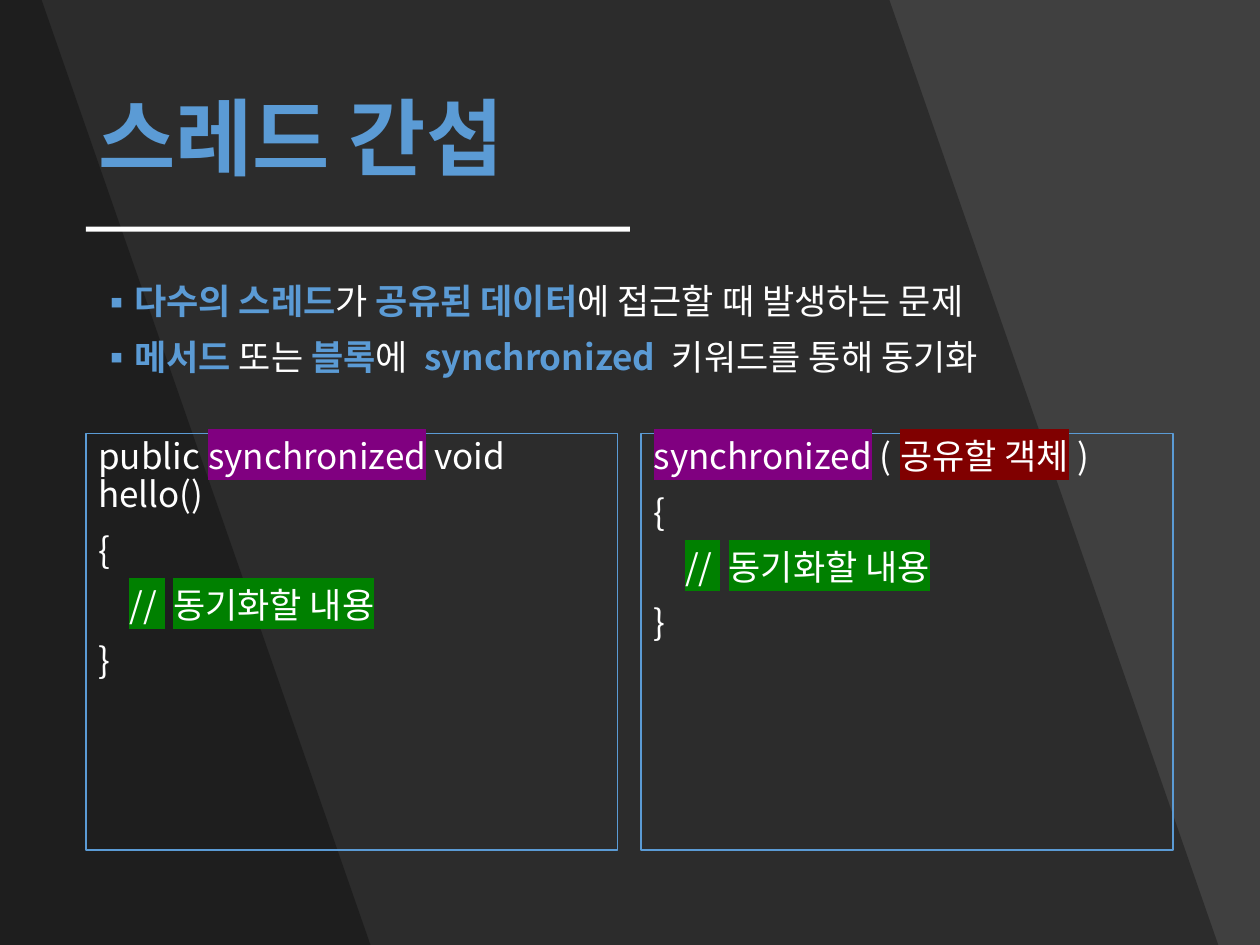
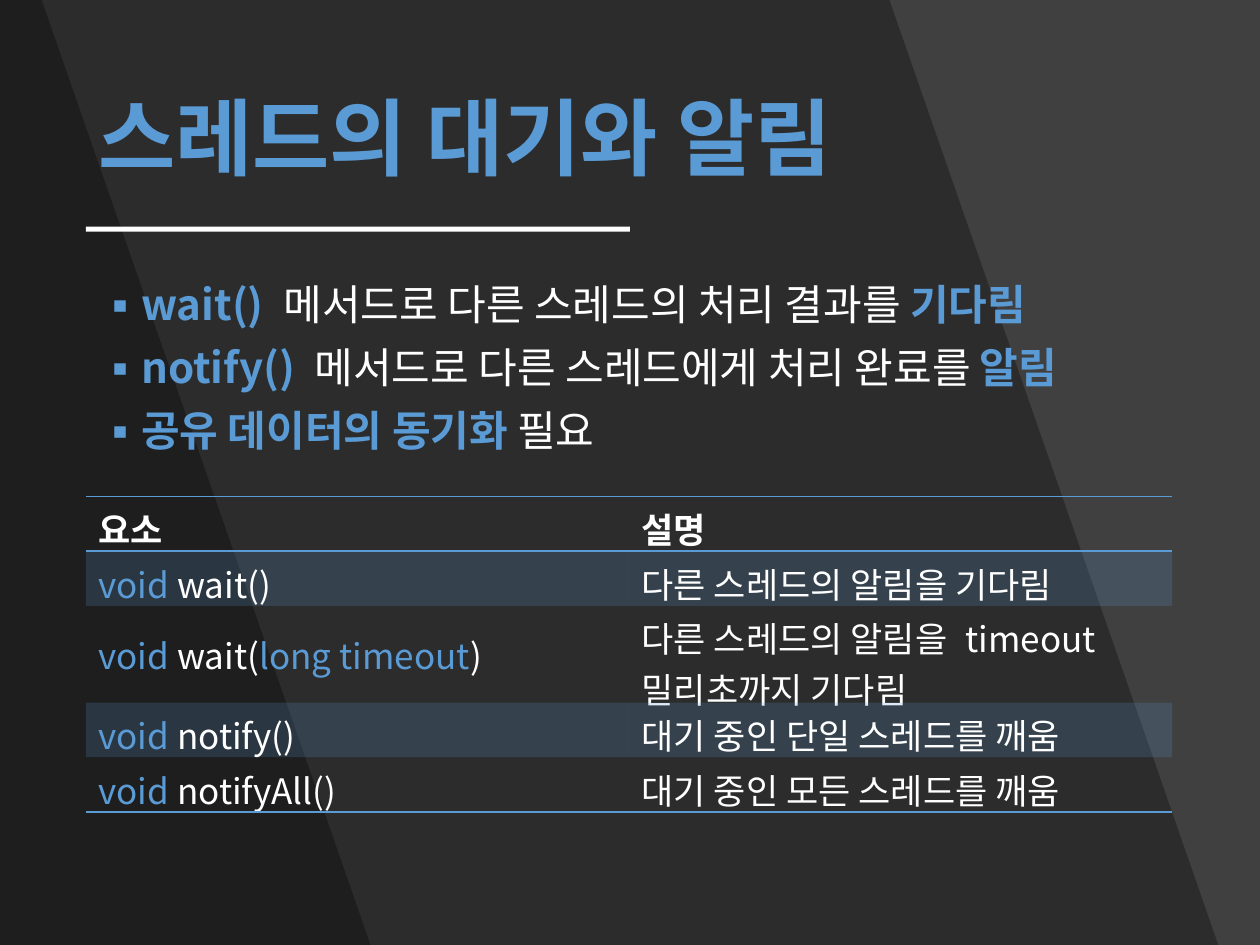
import pptx
import pptx.util
import pptx.dml.color
import pptx.enum.shapes
import pptx.enum.text
import pptx.oxml
import pptx.oxml.ns
from lxml import etree

Cm, Pt = pptx.util.Cm, pptx.util.Pt
RGB = pptx.dml.color.RGBColor
RECT = pptx.enum.shapes.MSO_SHAPE.RECTANGLE
ANCHOR = pptx.enum.text.MSO_ANCHOR
qn = pptx.oxml.ns.qn

# Shared look
FONT = "Noto Sans CJK KR"
BACK = RGB(0x40, 0x40, 0x40)
BLACK = RGB(0, 0, 0)
WHITE = RGB(0xFF, 0xFF, 0xFF)
BLUE = RGB(0x5B, 0x9B, 0xD5)
PURPLE = RGB(0x80, 0, 0x80)
GREEN = RGB(0, 0x80, 0)
MAROON = RGB(0x80, 0, 0)
WIDE, HIGH = 25.4, 19.05
LEFT, FULL = 1.73, 21.9
INDENT = 0.63
PLAIN_TABLE = "{2D5ABB26-0587-4C30-8999-92F81FD0307C}"


# Kinds of run: text, colour, bold, highlight
def key(text):
    return text, BLUE, True, None


def word(text):
    return text, BLUE, False, None


def mark(text, back):
    return text, WHITE, False, back


def head(text):
    return text, WHITE, True, None


def paint(parent, tag, color):
    """Add a colour-holding child such as a:highlight or a:solidFill."""
    child = etree.SubElement(parent, qn(tag))
    etree.SubElement(child, qn("a:srgbClr"), val=str(color))


def fade(part, percent):
    """Make the fill of a shape or cell element see-through."""
    color = next(part.iter(qn("a:srgbClr")))
    etree.SubElement(color, qn("a:alpha"), val=str(percent * 1000))


def add_runs(para, parts, size):
    for part in parts:
        text, color, bold, back = mark(part, None) if isinstance(part, str) else part
        run = para.add_run()
        run.text = text
        run.font.size = Pt(size)
        run.font.bold = bold
        run.font.color.rgb = color
        props = run.font.fill._xPr
        if back is not None:
            paint(props, "a:highlight", back)
        run.font.name = FONT
        etree.SubElement(props, qn("a:ea"), typeface=FONT)


def set_indent(para, left, first=0):
    props = para._p.get_or_add_pPr()
    props.set("marL", str(Cm(left)))
    props.set("indent", str(Cm(first)))
    return props


def add_lines(frame, lines, size, gap=10):
    """Write one paragraph for each list of runs."""
    frame.word_wrap = True
    paras = []
    for i, parts in enumerate(lines):
        para = frame.add_paragraph() if i else frame.paragraphs[0]
        para.alignment = pptx.enum.text.PP_ALIGN.LEFT
        para.line_spacing = 0.9
        para.space_before = Pt(gap)
        add_runs(para, parts, size)
        paras.append(para)
    return paras


def add_band(slide, top, foot):
    """Dark slanted band from the left edge."""
    build = slide.shapes.build_freeform(0, 0)
    build.add_line_segments(
        [(Cm(top), 0), (Cm(foot), Cm(HIGH)), (0, Cm(HIGH))], close=True)
    band = build.convert_to_shape()
    band.shadow.inherit = False
    band.fill.solid()
    band.fill.fore_color.rgb = BLACK
    band.line.fill.background()
    fade(band.element, 30)


def add_title(slide, text):
    box = slide.shapes.add_textbox(Cm(LEFT), Cm(1.02), Cm(FULL), Cm(3.68))
    box.text_frame.vertical_anchor = ANCHOR.MIDDLE
    add_lines(box.text_frame, [[key(text)]], 48, 0)
    rule = slide.shapes.add_shape(RECT, Cm(LEFT), Cm(4.57), Cm(10.97), Cm(0.1))
    rule.shadow.inherit = False
    rule.fill.solid()
    rule.fill.fore_color.rgb = WHITE
    rule.line.fill.background()


def add_list(slide, lines, size):
    box = slide.shapes.add_textbox(Cm(1.75), Cm(5.61), Cm(FULL), Cm(11.53))
    for para in add_lines(box.text_frame, lines, size):
        props = set_indent(para, INDENT, -INDENT)
        paint(props, "a:buClr", BLUE)
        etree.SubElement(props, qn("a:buFont"), typeface=FONT)
        etree.SubElement(props, qn("a:buChar"), char="▪")


def add_code(slide, left, first):
    """Outlined box: an opening line, then a block with a comment."""
    box = slide.shapes.add_shape(RECT, Cm(left), Cm(8.74), Cm(10.72), Cm(8.4))
    box.shadow.inherit = False
    box.fill.background()
    box.line.color.rgb = BLUE
    box.line.width = Pt(1)
    box.text_frame.vertical_anchor = ANCHOR.TOP
    note = [mark("// 동기화할 내용", GREEN)]
    paras = add_lines(box.text_frame, [first, ["{"], note, ["}"]], 20)
    set_indent(paras[2], INDENT)


def add_edge(cell, tags):
    """Blue lines on the named sides of a cell."""
    props = cell._tc.get_or_add_tcPr()
    for i, tag in enumerate(tags):
        line = etree.Element(qn(tag), w=str(Pt(1)))
        paint(line, "a:solidFill", BLUE)
        props.insert(i, line)


def add_grid(slide, rows):
    frame = slide.shapes.add_table(
        len(rows), 2, Cm(LEFT), Cm(10.01), Cm(FULL), Cm(1.04 * len(rows)))
    next(frame.element.iter(qn("a:tableStyleId"))).text = PLAIN_TABLE
    table = frame.table
    table.horz_banding = False
    edges = {0: ["a:lnT", "a:lnB"], len(rows) - 1: ["a:lnB"]}
    for r, row in enumerate(rows):
        for c, parts in enumerate(row):
            cell = table.cell(r, c)
            cell.vertical_anchor = ANCHOR.MIDDLE
            if r % 2:
                cell.fill.solid()
                cell.fill.fore_color.rgb = BLUE
                fade(cell._tc, 20)
            else:
                cell.fill.background()
            add_edge(cell, edges.get(r, []))
            add_runs(cell.text_frame.paragraphs[0], parts, 20)


def add_page(deck, title):
    slide = deck.slides.add_slide(deck.slide_layouts[6])
    slide.background.fill.solid()
    slide.background.fill.fore_color.rgb = BACK
    add_band(slide, 17.93, 24.56)
    add_band(slide, 0.84, 7.47)
    add_title(slide, title)
    return slide


def main():
    deck = pptx.Presentation()
    deck.slide_width, deck.slide_height = Cm(WIDE), Cm(HIGH)

    # Thread interference
    slide = add_page(deck, "스레드 간섭")
    add_list(slide, [
        [key("다수의 스레드"), "가 ", key("공유된 데이터"),
         "에 접근할 때 발생하는 문제"],
        [key("메서드"), " 또는 ", key("블록"), "에 ", key("synchronized "),
         "키워드를 통해 동기화"],
    ], 20)
    lock = mark("synchronized", PURPLE)
    add_code(slide, LEFT, ["public ", lock, " void hello()"])
    add_code(slide, 12.93, [lock, " (", mark("공유할 객체", MAROON), ")"])

    # Waiting and notifying
    slide = add_page(deck, "스레드의 대기와 알림")
    add_list(slide, [
        [key("wait() "), "메서드로 다른 스레드의 처리 결과를 ", key("기다림")],
        [key("notify() "), "메서드로 다른 스레드에게 처리 완료를 ", key("알림")],
        [key("공유 데이터의 동기화"), " 필요"],
    ], 24)
    void = word("void")
    add_grid(slide, [
        ([head("요소")], [head("설명")]),
        ([void, " wait()"], ["다른 스레드의 알림을 기다림"]),
        ([void, " wait(", word("long timeout"), ")"],
         ["다른 스레드의 알림을 timeout 밀리초까지 기다림"]),
        ([void, " notify()"], ["대기 중인 단일 스레드를 깨움"]),
        ([void, " notifyAll()"], ["대기 중인 모든 스레드를 깨움"]),
    ])

    deck.save("out.pptx")


main()
